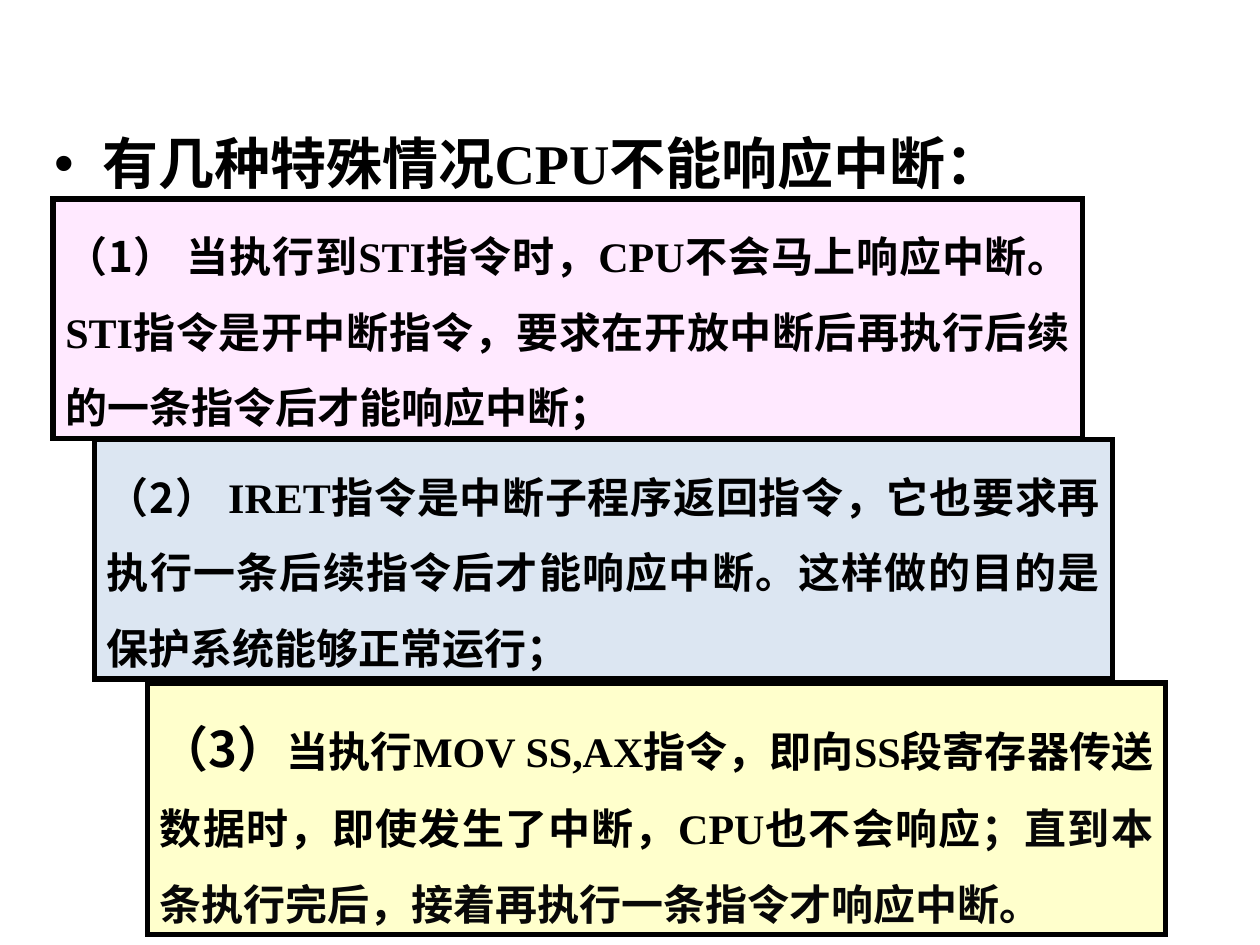
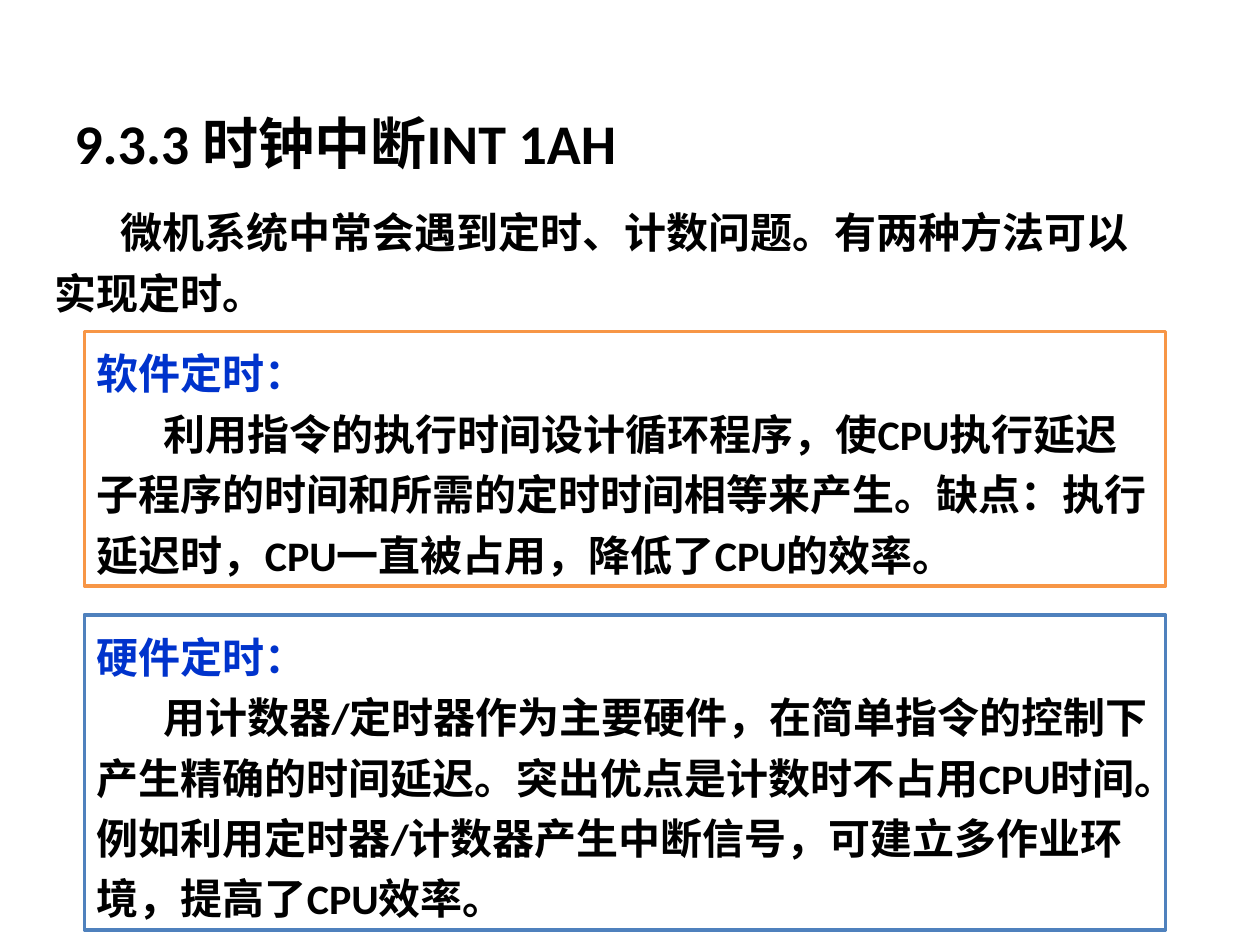
from dataclasses import dataclass

import lxml.etree
import pptx
import pptx.dml.color
import pptx.enum.shapes
import pptx.enum.text
import pptx.oxml.ns
import pptx.util

Inches = pptx.util.Inches
Pt = pptx.util.Pt
qn = pptx.oxml.ns.qn
ALIGN = pptx.enum.text.PP_ALIGN
AUTOSIZE = pptx.enum.text.MSO_AUTO_SIZE


@dataclass(frozen=True)
class Theme:
    black: str = "000000"
    near_black: str = "080808"
    heading: str = "0033CC"
    white: str = "FFFFFF"
    pink: str = "FFE9FF"
    pale_blue: str = "DCE6F2"
    pale_yellow: str = "FFFFCC"
    orange: str = "F79646"
    blue: str = "4F81BD"
    cjk: str = "Noto Sans CJK SC"
    serif: str = "Times New Roman"
    sans: str = "Calibri"
    intro_font: str = "Arial"
    title_size: int = 32
    number_size: int = 28
    text_size: int = 24


THEME = Theme()


@dataclass(frozen=True)
class Span:
    text: str
    font: str = THEME.sans
    size: int = THEME.text_size
    color: str = THEME.black


@dataclass(frozen=True)
class Para:
    spans: list[Span]
    line_spacing: float = 1.2
    align: ALIGN = ALIGN.LEFT
    margin: float = 0
    indent: float = 0
    bullet: str = ""


@dataclass(frozen=True)
class Box:
    left: float
    top: float
    width: float
    height: float


@dataclass(frozen=True)
class Panel:
    box: Box
    fill: str
    line: str
    line_width: float
    paras: list[Para]
    mitered: bool = False


FIRST_LINE_INDENT = 0.53


def rgb(color: str) -> pptx.dml.color.RGBColor:
    return pptx.dml.color.RGBColor.from_string(color)


def mixed(text: str, size: int = THEME.text_size) -> list[Span]:
    """Split at bars: ASCII parts are serif, the others CJK."""
    return [Span(part, THEME.serif if part.isascii() else THEME.cjk, size)
            for part in text.split("|")]


def write_paras(frame, paras: list[Para]) -> None:
    for number, para in enumerate(paras):
        paragraph = frame.add_paragraph() if number else frame.paragraphs[0]
        props = paragraph._p.get_or_add_pPr()
        props.set("marL", str(Inches(para.margin)))
        props.set("indent", str(Inches(para.indent)))
        if para.bullet:
            lxml.etree.SubElement(props, qn("a:buChar")).set("char", para.bullet)
        else:
            lxml.etree.SubElement(props, qn("a:buNone"))
        paragraph.alignment = para.align
        paragraph.line_spacing = para.line_spacing
        paragraph.space_before = Pt(0)
        for span in para.spans:
            run = paragraph.add_run()
            run.text = span.text
            run.font.size = Pt(span.size)
            run.font.bold = True
            run.font.color.rgb = rgb(span.color)
            run.font.name = span.font
            east_asian = lxml.etree.SubElement(run._r.get_or_add_rPr(), qn("a:ea"))
            east_asian.set("typeface", THEME.cjk)


def fill_placeholder(holder, box: Box, para: Para, anchor) -> None:
    holder.left, holder.top = Inches(box.left), Inches(box.top)
    holder.width, holder.height = Inches(box.width), Inches(box.height)
    frame = holder.text_frame
    frame.auto_size = AUTOSIZE.NONE
    frame.word_wrap = True
    frame.vertical_anchor = anchor
    write_paras(frame, [para])


def draw_panel(slide, panel: Panel) -> None:
    box = panel.box
    shape = slide.shapes.add_shape(
        pptx.enum.shapes.MSO_SHAPE.RECTANGLE, Inches(box.left), Inches(box.top),
        Inches(box.width), Inches(box.height))
    shape.shadow.inherit = False
    shape.fill.solid()
    shape.fill.fore_color.rgb = rgb(panel.fill)
    shape.line.color.rgb = rgb(panel.line)
    shape.line.width = Pt(panel.line_width)
    if panel.mitered:
        join = lxml.etree.SubElement(shape.line._get_or_add_ln(), qn("a:miter"))
        join.set("lim", "800000")
    frame = shape.text_frame
    frame.word_wrap = True
    frame.auto_size = AUTOSIZE.SHAPE_TO_FIT_TEXT
    frame.vertical_anchor = pptx.enum.text.MSO_ANCHOR.TOP
    write_paras(frame, panel.paras)


def case_panel(box: Box, fill: str, spans: list[Span]) -> Panel:
    para = Para(spans, 1.5, ALIGN.JUSTIFY)
    return Panel(box, fill, THEME.black, 3, [para], mitered=True)


def timing_panel(top: float, height: float, line: str, heading: str, text: str) -> Panel:
    paras = [Para([Span(heading, color=THEME.heading)]),
             Para([Span(text)], indent=FIRST_LINE_INDENT)]
    return Panel(Box(0.67, top, 8.58, height), THEME.white, line, 2, paras)


# Special cases, from the back to the front
CASES = [
    case_panel(
        Box(1.17, 5.42, 8.08, 2), THEME.pale_yellow,
        mixed("（3）", THEME.number_size)
        + mixed("当执行|MOV SS,AX|指令，即向|SS|段寄存器传送数据时，即使发生了中断，|CPU|也不会响应")
        + [Span("；直到本条执行完后，接着再执行一条指令才响应中断。",
                THEME.cjk, color=THEME.near_black)]),
    case_panel(
        Box(0.75, 3.49, 8.08, 1.9), THEME.pale_blue,
        mixed("（2） |IRET|指令是中断子程序返回指令，它也要求再执行一条后续指令后才能响应中断。"
              "这样做的目的是保护系统能够正常运行；")),
    case_panel(
        Box(0.42, 1.58, 8.17, 1.9), THEME.pink,
        mixed("（1） 当执行到|STI|指令时，|CPU|不会马上响应中断。|STI|"
              "指令是开中断指令，要求在开放中断后再执行后续的一条指令后才能响应中断；")),
]

# Two ways of timing
TIMINGS = [
    timing_panel(
        2.63, 2.02, THEME.orange, "软件定时：",
        "利用指令的执行时间设计循环程序，使CPU执行延迟子程序的时间和所需的定时时间相等来产生。"
        "缺点：执行延迟时，CPU一直被占用，降低了CPU的效率。"),
    timing_panel(
        4.88, 2.5, THEME.blue, "硬件定时：",
        "用计数器/定时器作为主要硬件，在简单指令的控制下产生精确的时间延迟。"
        "突出优点是计数时不占用CPU时间。例如利用定时器/计数器产生中断信号，"
        "可建立多作业环境，提高了CPU效率。"),
]


def build_cases(slide) -> None:
    title = slide.shapes.title._element
    title.getparent().remove(title)
    lead = Para(mixed("有几种特殊情况|CPU|不能响应中断：", THEME.title_size),
                1.1, ALIGN.JUSTIFY, margin=0.38, indent=-0.38, bullet="•")
    fill_placeholder(slide.placeholders[1], Box(0.33, 0.92, 8.08, 0.83), lead,
                     pptx.enum.text.MSO_ANCHOR.TOP)
    for panel in CASES:
        draw_panel(slide, panel)


def build_timings(slide) -> None:
    heading = Para([Span("9.3.3 时钟中断INT 1AH", size=THEME.title_size)], 1.0)
    fill_placeholder(slide.shapes.title, Box(0.49, 0.83, 8.18, 0.59), heading,
                     pptx.enum.text.MSO_ANCHOR.MIDDLE)
    intro = Para([Span("微机系统中常会遇到定时、计数问题。有两种方法可以实现定时。",
                       THEME.intro_font)], indent=FIRST_LINE_INDENT)
    fill_placeholder(slide.placeholders[1], Box(0.33, 1.51, 8.92, 1.06), intro,
                     pptx.enum.text.MSO_ANCHOR.TOP)
    for panel in TIMINGS:
        draw_panel(slide, panel)


def main() -> None:
    deck = pptx.Presentation()
    deck.slide_width, deck.slide_height = Inches(10), Inches(7.5)
    for build in (build_cases, build_timings):
        build(deck.slides.add_slide(deck.slide_layouts[1]))
    deck.save("out.pptx")


if __name__ == "__main__":
    main()
